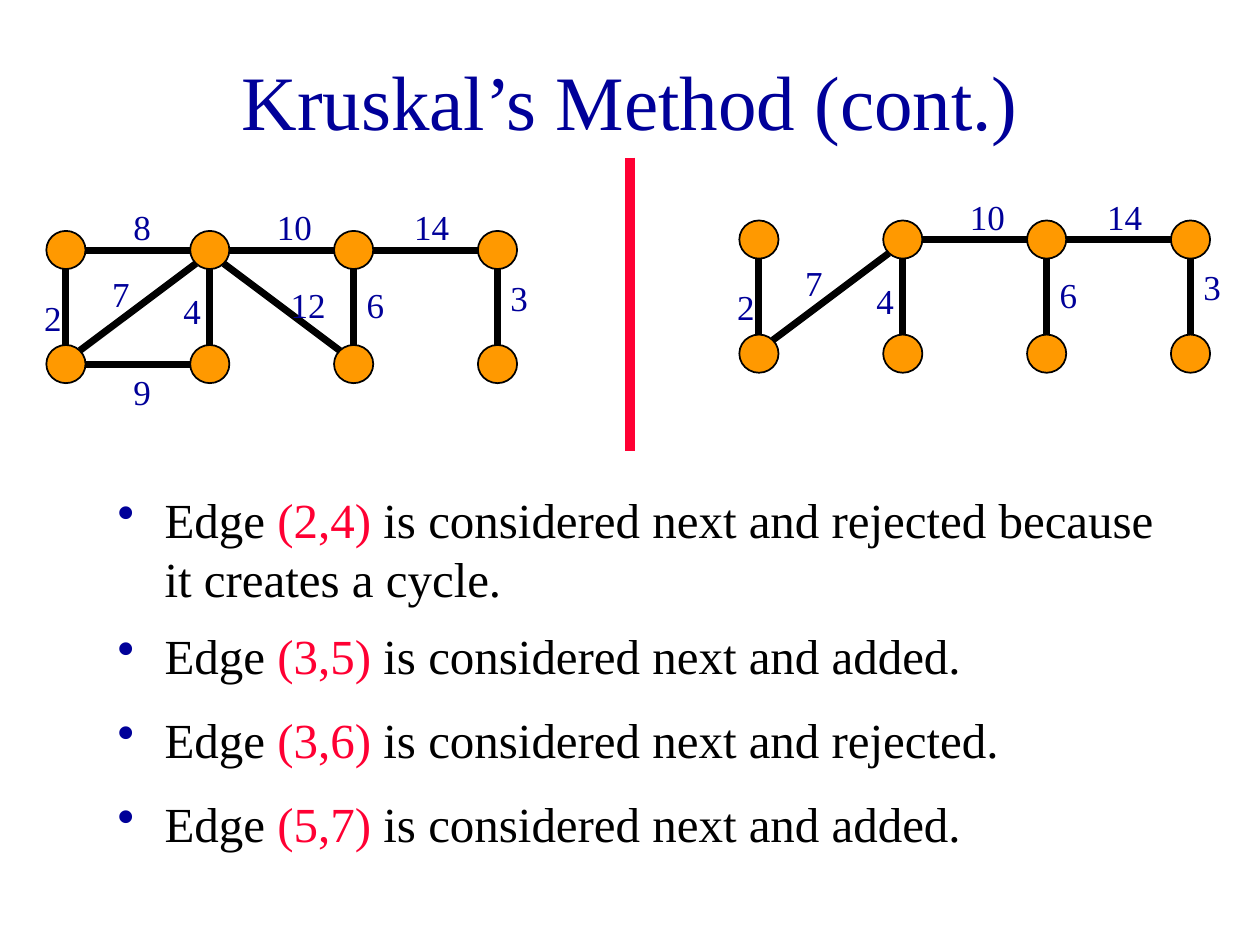
from lxml import etree
from pptx import Presentation
from pptx.dml.color import RGBColor
from pptx.enum.shapes import MSO_CONNECTOR, MSO_SHAPE
from pptx.enum.text import MSO_ANCHOR, PP_ALIGN
from pptx.oxml.ns import qn
from pptx.util import Cm, Pt

STRAIGHT = MSO_CONNECTOR.STRAIGHT
OVAL = MSO_SHAPE.OVAL
MIDDLE = MSO_ANCHOR.MIDDLE
CENTER = PP_ALIGN.CENTER
NAVY = RGBColor(0x00, 0x00, 0x99)
RED = RGBColor(0xFF, 0x00, 0x33)
ORANGE = RGBColor(0xFF, 0x99, 0x00)
BLACK = RGBColor(0x00, 0x00, 0x00)
FONT = "Times New Roman"

TITLE = "Kruskal’s Method (cont.)"
STEPS = [
    ("(2,4)", " is considered next and rejected because it creates a cycle.", 9.74),
    ("(3,5)", " is considered next and added.", 12.49),
    ("(3,6)", " is considered next and rejected.", 14.18),
    ("(5,7)", " is considered next and added.", 15.88),
]
# Each edge maps to its weight and the weight's offset from node 1.
EDGES = {
    (1, 2): ("2", -0.69, 0.81),
    (3, 4): ("4", 2.12, 0.68),
    (5, 6): ("6", 5.81, 0.55),
    (7, 8): ("3", 8.71, 0.4),
    (1, 3): ("8", 1.11, -1.02),
    (3, 5): ("10", 4.0, -1.02),
    (5, 7): ("14", 6.77, -1.02),
    (2, 4): ("9", 1.11, 2.3),
    (2, 3): ("7", 0.68, 0.32),
    (3, 6): ("12", 4.28, 0.55),
}
TREE = [(1, 2), (3, 4), (5, 6), (7, 8), (3, 5), (5, 7), (2, 3)]
GRAPHS = [(1.33, 5.04, list(EDGES)), (15.3, 4.83, TREE)]

NODE_COUNT = 8
COLUMN_STEP, ROW_STEP = 2.9, 2.3
NODE_W, NODE_H = 0.79, 0.77
DIAGONAL = 0.71
LABEL_WIDTHS = {1: 0.56, 2: 1.3}

prs = Presentation()
prs.slide_width, prs.slide_height = Cm(25.4), Cm(19.05)
slide = prs.slides.add_slide(prs.slide_layouts[6])


def add_text(left, top, width, height, runs, size):
    frame = slide.shapes.add_textbox(Cm(left), Cm(top), Cm(width), Cm(height)).text_frame
    frame.word_wrap = True
    paragraph = frame.paragraphs[0]
    paragraph.font.name = FONT
    paragraph.font.size = Pt(size)
    for text, color in runs:
        run = paragraph.add_run()
        run.text = text
        run.font.color.rgb = color
    return frame


def add_line(x1, y1, x2, y2, color, width):
    line = slide.shapes.add_connector(STRAIGHT, Cm(x1), Cm(y1), Cm(x2), Cm(y2))
    line.line.color.rgb = color
    line.line.width = Pt(width)
    etree.SubElement(line._element.spPr, qn("a:effectLst"))


def add_bullet(paragraph):
    properties = paragraph._p.get_or_add_pPr()
    properties.set("marL", str(Cm(0.95)))
    properties.set("indent", str(-Cm(0.95)))
    bullet_color = etree.Element(qn("a:buClr"))
    etree.SubElement(bullet_color, qn("a:srgbClr"), val=str(NAVY))
    bullet = etree.Element(qn("a:buChar"), char="•")
    properties.insert(0, bullet_color)
    properties.insert(1, bullet)


def sign(value):
    return (value > 0) - (value < 0)


def add_graph(left, top, edges):
    centers = {
        node: (left + (node - 1) // 2 * COLUMN_STEP, top + (node - 1) % 2 * ROW_STEP)
        for node in range(1, NODE_COUNT + 1)
    }
    for x, y in centers.values():
        node = slide.shapes.add_shape(
            OVAL, Cm(x - NODE_W / 2), Cm(y - NODE_H / 2), Cm(NODE_W), Cm(NODE_H)
        )
        node.shadow.inherit = False
        node.fill.solid()
        node.fill.fore_color.rgb = ORANGE
        node.line.color.rgb = BLACK
        node.line.width = Pt(1)
    for start, end in edges:
        (x1, y1), (x2, y2) = centers[start], centers[end]
        across, down = sign(x2 - x1), sign(y2 - y1)
        reach = DIAGONAL if across and down else 1
        dx, dy = across * reach * NODE_W / 2, down * reach * NODE_H / 2
        add_line(x1 + dx, y1 + dy, x2 - dx, y2 - dy, BLACK, 4)
    for edge in edges:
        weight, dx, dy = EDGES[edge]
        add_text(left + dx, top + dy, LABEL_WIDTHS[len(weight)], 1.09, [(weight, NAVY)], 20)


title = add_text(1.9, 0.43, 21.6, 3.18, [(TITLE, NAVY)], 44)
title.vertical_anchor = MIDDLE
title.paragraphs[0].alignment = CENTER

for graph in GRAPHS:
    add_graph(*graph)
add_line(12.7, 3.18, 12.7, 9.1, RED, 6)

for edge_name, outcome, top in STEPS:
    step = add_text(
        2.12, top, 21.6, 1.9, [("Edge ", BLACK), (edge_name, RED), (outcome, BLACK)], 28
    )
    add_bullet(step.paragraphs[0])

prs.save("out.pptx")
